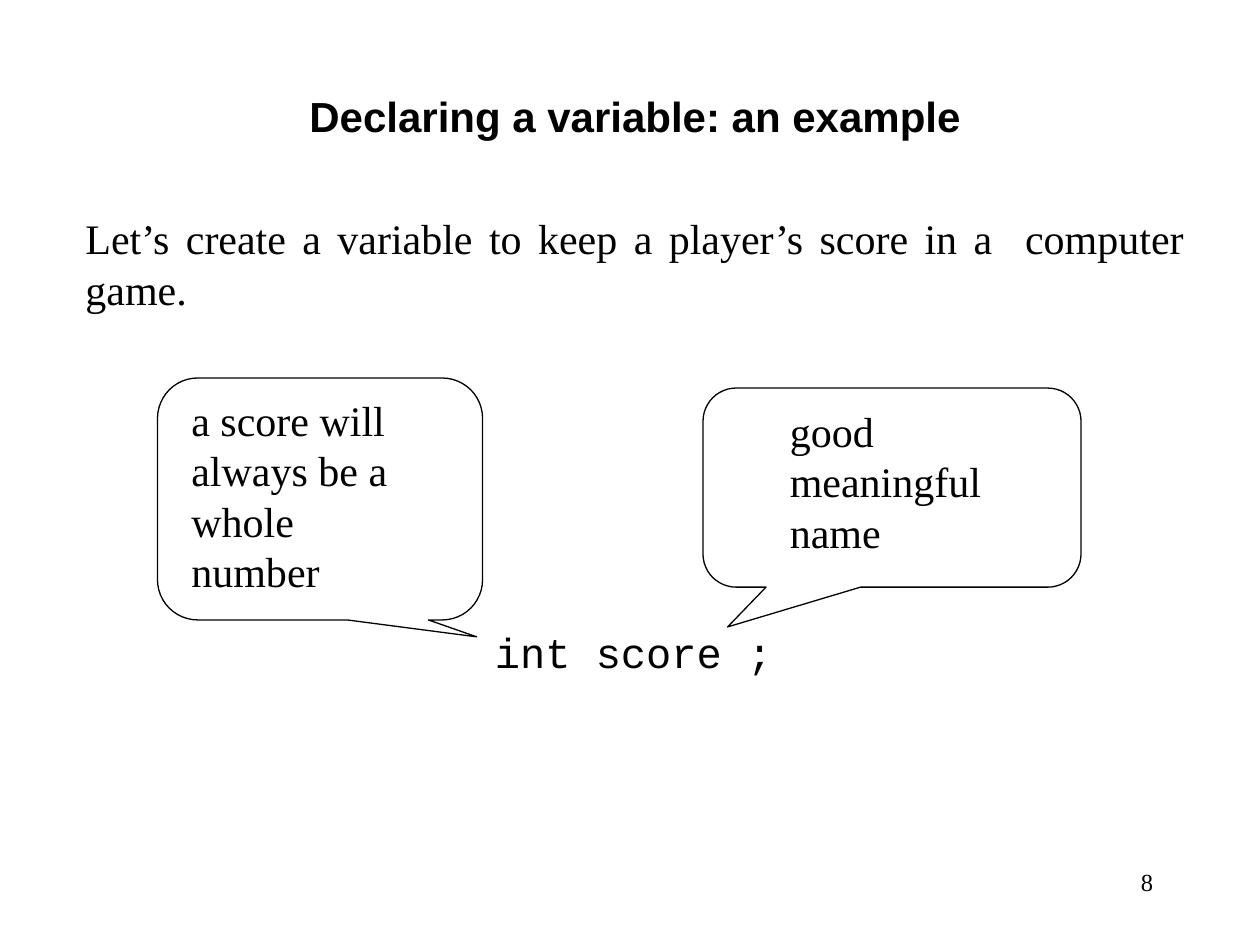
from pptx import Presentation
from pptx import util as u
from pptx.dml.color import RGBColor
from pptx.enum import shapes, text

SERIF, SANS, MONO = "Times New Roman", "Arial", "Courier New"
BLACK = "000000"
BODY_SIZE = 24
ALIGN = text.PP_ALIGN


def color(hex_value):
    return RGBColor.from_string(hex_value)


def place(box):
    return [u.Inches(length) for length in box]


def add_text_box(slide, box):
    frame = slide.shapes.add_textbox(*place(box)).text_frame
    frame.word_wrap = True
    return frame


def write(paragraph, words, font=SERIF, size=BODY_SIZE, bold=False,
          align=ALIGN.LEFT, after=0):
    paragraph.text = words
    paragraph.alignment = align
    paragraph.line_spacing = u.Pt(size * 1.2)
    paragraph.space_after = u.Pt(after)
    for run in paragraph.runs:
        run.font.name = font
        run.font.size = u.Pt(size)
        run.font.bold = bold
        run.font.color.rgb = color(BLACK)


def add_introduction(slide, box):
    """Heading with the task below it."""
    frame = add_text_box(slide, box)
    heading = frame.paragraphs[0]
    write(heading, "Declaring a variable: an example", SANS, bold=True,
          align=ALIGN.CENTER, after=6)
    task = frame.add_paragraph()
    write(task, "Let’s create a variable to keep a player’s score in a  computer game.",
          align=ALIGN.JUSTIFY, after=6)
    task.space_before = u.Pt(35)


def add_declaration(slide, box):
    """The line of code, indented within its box."""
    code = add_text_box(slide, box).paragraphs[0]
    write(code, "int score ;", MONO, after=6)
    code._p.get_or_add_pPr().set("marL", str(u.Inches(3)))


def add_callout(slide, box, tip, label_box, words):
    """Speech bubble pointing at the code, with its remark on top."""
    bubble = slide.shapes.add_shape(
        shapes.MSO_SHAPE.ROUNDED_RECTANGULAR_CALLOUT, *place(box))
    bubble.shadow.inherit = False
    bubble.fill.background()
    bubble.line.color.rgb = color(BLACK)
    bubble.line.width = u.Pt(0.75)
    bubble.adjustments[0], bubble.adjustments[1] = tip
    write(add_text_box(slide, label_box).paragraphs[0], words)


def add_page_number(slide, box, number):
    write(add_text_box(slide, box).paragraphs[0], number, size=14,
          align=ALIGN.RIGHT)


def main():
    deck = Presentation()
    deck.slide_width, deck.slide_height = u.Inches(10), u.Inches(7.5)
    slide = deck.slides.add_slide(deck.slide_layouts[6])

    add_page_number(slide, (7.17, 6.83, 2.08, 0.5), "8")
    add_introduction(slide, (0.58, 0.67, 8.92, 2.56))
    add_declaration(slide, (0.83, 4.92, 7.33, 0.5))

    # Remarks on the name and on the type
    add_callout(slide, (5.58, 3.08, 3, 1.58), (-0.435, 0.7),
                (6.17, 3.17, 1.92, 1.3), "good meaningful name")
    add_callout(slide, (1.25, 3, 2.58, 1.92), (0.482, 0.57),
                (1.42, 3.08, 2.08, 1.7), "a score will always be a whole number")

    deck.save("out.pptx")


if __name__ == "__main__":
    main()
